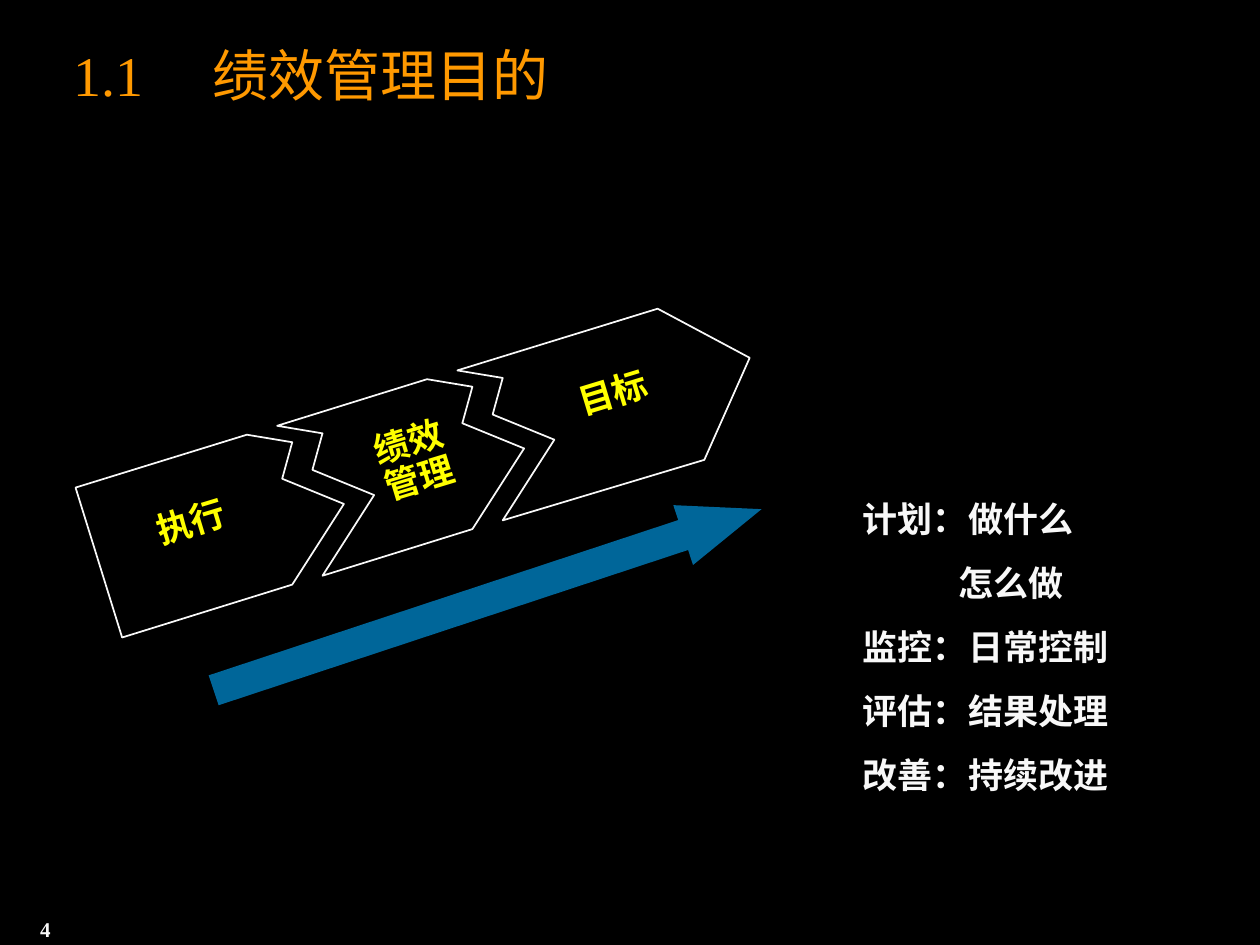
from pptx import Presentation
from pptx.dml.color import RGBColor
from pptx.enum.shapes import MSO_SHAPE
from pptx.enum.text import MSO_ANCHOR, MSO_AUTO_SIZE, PP_ALIGN
from pptx.oxml import parse_xml
from pptx.oxml.ns import nsdecls
from pptx.util import Inches, Pt

BLACK = RGBColor(0x00, 0x00, 0x00)
WHITE = RGBColor(0xF8, 0xF8, 0xF8)
ORANGE = RGBColor(0xFF, 0x99, 0x00)
YELLOW = RGBColor(0xFF, 0xFF, 0x00)
BLUE = RGBColor(0x00, 0x66, 0x99)


def set_font(paragraph, size, color, bold):
    font = paragraph.font
    font.name = "Times New Roman"
    font.size = Pt(size)
    font.color.rgb = color
    font.bold = bold


def jagged_edge(left, top):
    """Zigzag side shared by neighbouring stages, from top to bottom."""
    steps = [(0, 0), (0.36, 0.06), (0.28, 0.35), (0.77, 0.55), (0.36, 1.19)]
    return [(left + x, top + y) for x, y in steps]


presentation = Presentation()
presentation.slide_width = Inches(10)
presentation.slide_height = Inches(7.5)
slide = presentation.slides.add_slide(presentation.slide_layouts[5])
slide.background.fill.solid()
slide.background.fill.fore_color.rgb = BLACK

# Title, with a tab between number and heading
title = slide.shapes.title
title.left, title.top = Inches(0.48), Inches(0.17)
title.width, title.height = Inches(9.1), Inches(0.83)
frame = title.text_frame
frame.text = "1.1\t绩效管理目的"
frame.auto_size = MSO_AUTO_SIZE.NONE
frame.vertical_anchor = MSO_ANCHOR.MIDDLE
paragraph = frame.paragraphs[0]
paragraph.alignment = PP_ALIGN.LEFT
paragraph._p.get_or_add_pPr().append(parse_xml(
    f'<a:tabLst {nsdecls("a")}><a:tab pos="{Inches(1.11)}" algn="l"/></a:tabLst>'))
set_font(paragraph, 32, ORANGE, False)

# Notes on each management step
notes = slide.shapes.add_textbox(Inches(6.75), Inches(3.9), Inches(2.75), Inches(2.46))
frame = notes.text_frame
frame.word_wrap = True
frame.auto_size = MSO_AUTO_SIZE.SHAPE_TO_FIT_TEXT
frame.text = "计划：做什么\n怎么做\n监控：日常控制\n评估：结果处理\n改善：持续改进"
for index, paragraph in enumerate(frame.paragraphs):
    if index:
        paragraph.space_before = Pt(12.5)
    set_font(paragraph, 20, WHITE, True)
frame.paragraphs[1]._p.get_or_add_pPr().set("marL", str(Inches(0.76)))

# Three interlocking stages: outline, label, label position and height
stages = [
    (jagged_edge(1.96, 3.45) + [(0.97, 5.06), (0.6, 3.87)],
     "执行", 1.14, 3.93, 0.4),
    (jagged_edge(3.63, 2.94) + [(5.59, 3.65), (5.95, 2.84), (5.22, 2.45)],
     "目标", 4.49, 2.91, 0.4),
    (jagged_edge(2.2, 3.38) + jagged_edge(3.39, 3.01)[::-1],
     "绩效管理", 2.91, 3.29, 0.7),
]
for points, text, left, top, height in stages:
    vertices = [(Inches(x), Inches(y)) for x, y in points]
    builder = slide.shapes.build_freeform(*vertices[0])
    builder.add_line_segments(vertices[1:], close=True)
    outline = builder.convert_to_shape()
    outline.shadow.inherit = False
    outline.fill.background()
    outline.line.color.rgb = WHITE
    outline.line.width = Pt(1)

    label = slide.shapes.add_textbox(Inches(left), Inches(top), Inches(0.92), Inches(height))
    label.rotation = 343.1
    frame = label.text_frame
    frame.word_wrap = True
    frame.auto_size = MSO_AUTO_SIZE.SHAPE_TO_FIT_TEXT
    frame.text = text
    paragraph = frame.paragraphs[0]
    paragraph.line_spacing = 0.9
    set_font(paragraph, 20, YELLOW, True)

# Rising arrow
arrow = slide.shapes.add_shape(
    MSO_SHAPE.RIGHT_ARROW, Inches(1.58), Inches(4.51), Inches(4.58), Inches(0.5))
arrow.rotation = 341.7
arrow.adjustments[0] = 0.5
arrow.adjustments[1] = 1.31
arrow.shadow.inherit = False
arrow.fill.solid()
arrow.fill.fore_color.rgb = BLUE
arrow.line.fill.background()

# Page number
page_number = slide.shapes.add_shape(
    MSO_SHAPE.RECTANGLE, 0, Inches(7.25), Inches(0.5), Inches(0.25))
page_number.shadow.inherit = False
page_number.fill.solid()
page_number.fill.fore_color.rgb = BLACK
page_number.line.fill.background()
frame = page_number.text_frame
frame.margin_top = frame.margin_bottom = 0
frame.vertical_anchor = MSO_ANCHOR.MIDDLE
frame.text = "4"
frame.paragraphs[0].alignment = PP_ALIGN.RIGHT
set_font(frame.paragraphs[0], 12, WHITE, True)

presentation.save("out.pptx")
